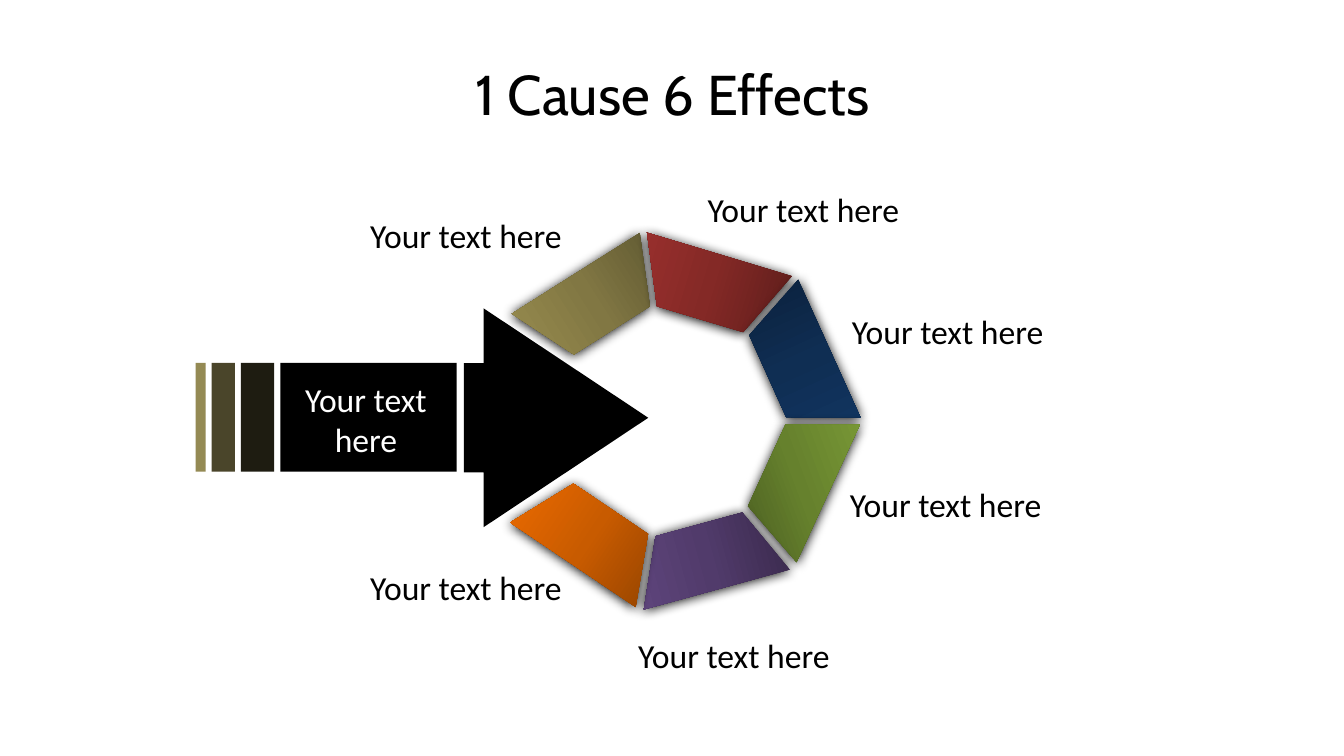
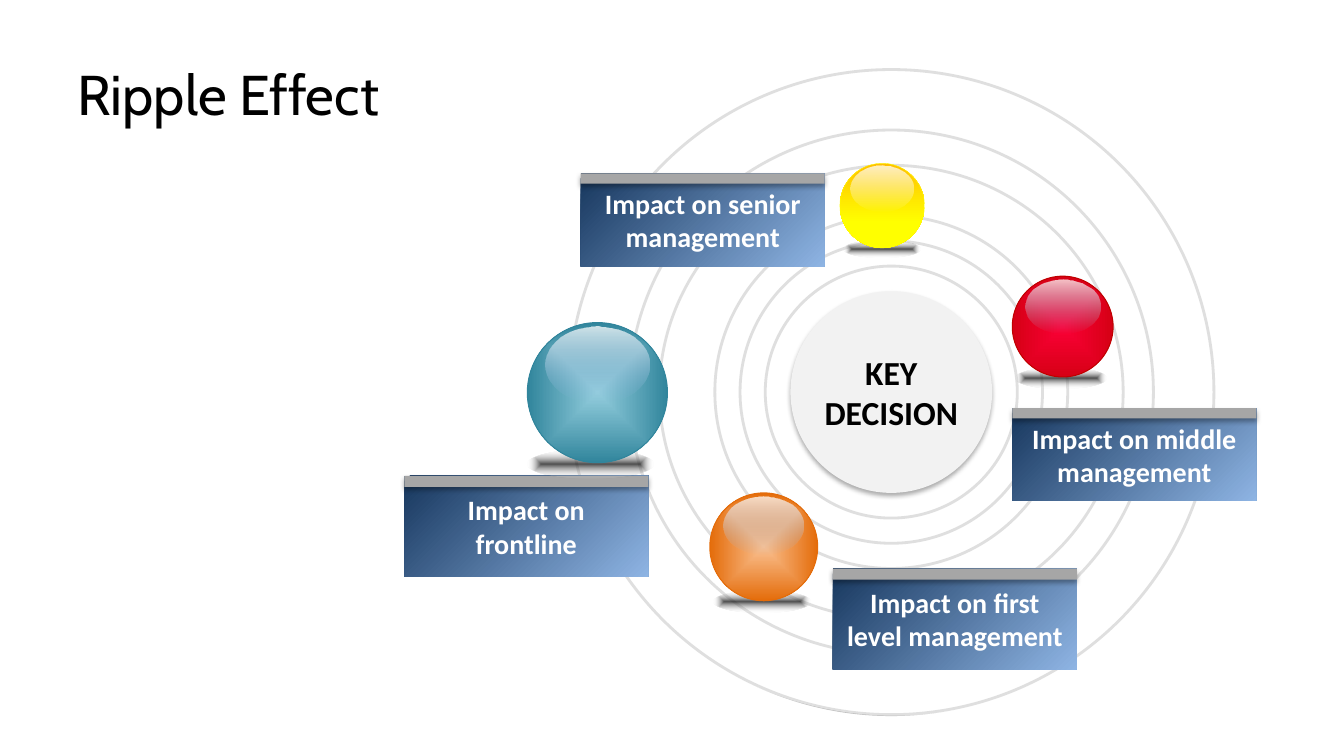
"""Build two slides: one cause with six effects, and the ripple effect of a decision."""
from lxml import etree
from pptx import Presentation
from pptx.dml.color import RGBColor
from pptx.enum.shapes import MSO_SHAPE
from pptx.enum.text import MSO_ANCHOR, PP_ALIGN
from pptx.oxml import parse_xml
from pptx.oxml.ns import nsdecls, qn
from pptx.util import Inches, Pt

ARROW = MSO_SHAPE.RIGHT_ARROW
ELLIPSE = MSO_SHAPE.OVAL
RECTANGLE = MSO_SHAPE.RECTANGLE
TRAPEZOID = MSO_SHAPE.TRAPEZOID
LEFT, CENTER, RIGHT = PP_ALIGN.LEFT, PP_ALIGN.CENTER, PP_ALIGN.RIGHT
TOP, MIDDLE = MSO_ANCHOR.TOP, MSO_ANCHOR.MIDDLE

COLORS = {
    "black": "000000", "white": "FFFFFF",
    "bar_dark": "1E1C11", "bar_mid": "4A452A", "bar_light": "948A54",
    "ring": "BFBFBF", "core": "F2F2F2", "cap": "A6A6A6", "ground": "171717",
    "card_dark": "17375E", "card_light": "8EB4E3",
    "teal_light": "93CDDD", "teal": "31859C",
    "orange_light": "FAC090", "orange": "E46C0A",
    "gold": "FFC000", "yellow": "FFFF00",
    "red_light": "FB0036", "red": "D60015", "red_line": "C00000",
    "khaki_0": "5A542F", "khaki_1": "817743", "khaki_2": "998D4F",
    "brick_0": "5D1D1B", "brick_1": "842926", "brick_2": "9C302E",
    "navy_0": "0B203B", "navy_1": "0F2E53", "navy_2": "123663",
    "green_0": "485B20", "green_1": "66812D", "green_2": "799936",
    "purple_0": "39294B", "purple_1": "513B6B", "purple_2": "60467E",
    "amber_0": "8D4000", "amber_1": "C85B00", "amber_2": "EE6B00",
}
SEGMENT_SHADOW = {"opacity": 100, "blur": 8.5, "distance": 1}
SOFT_SHADOW = {"opacity": 32, "blur": 3.5, "distance": 2.2}


def write(shape, text, size=24, color="black", font="Calibri", bold=False,
          align=CENTER, anchor=TOP, wrap=True, inset=0.1):
    """Put formatted text into a shape."""
    frame = shape.text_frame
    frame.word_wrap = wrap
    frame.vertical_anchor = anchor
    frame.margin_left = frame.margin_right = Inches(inset)
    paragraph = frame.paragraphs[0]
    paragraph.alignment = align
    run = paragraph.add_run()
    run.text = text
    run.font.name = font
    run.font.size = Pt(size)
    run.font.bold = bold
    run.font.color.rgb = RGBColor.from_string(COLORS[color])


def draw(shapes, kind, box, fill=None, angle=None, opacity=100, line=None,
         line_width=0.75, shadow=None):
    """Add a shape; a list of (position, color, opacity) stops makes a gradient."""
    shape = shapes.add_shape(kind, *[Inches(length) for length in box])
    properties = shape._element.spPr
    if fill is None:
        shape.fill.background()
    else:
        shape.fill.solid()
        solid = properties.find(qn("a:solidFill"))
        if isinstance(fill, str):
            shape.fill.fore_color.rgb = RGBColor.from_string(COLORS[fill])
            if opacity < 100:
                etree.SubElement(solid.find(qn("a:srgbClr")), qn("a:alpha"),
                                 val=str(opacity * 1000))
        else:
            stops = "".join(
                f'<a:gs pos="{position * 1000}"><a:srgbClr val="{COLORS[color]}">'
                f'<a:alpha val="{alpha * 1000}"/></a:srgbClr></a:gs>'
                for position, color, alpha in fill)
            if angle is None:
                direction = ('<a:path path="shape"><a:fillToRect l="50000" t="50000" '
                             'r="50000" b="50000"/></a:path>')
            else:
                direction = f'<a:lin ang="{angle * 60000}" scaled="0"/>'
            properties.replace(solid, parse_xml(
                f'<a:gradFill {nsdecls("a")} rotWithShape="1">'
                f'<a:gsLst>{stops}</a:gsLst>{direction}</a:gradFill>'))
    if line:
        shape.line.color.rgb = RGBColor.from_string(COLORS[line])
        shape.line.width = Pt(line_width)
    else:
        shape.line.fill.background()
    shape.shadow.inherit = False
    if shadow:
        properties.find(qn("a:effectLst")).append(parse_xml(
            f'<a:outerShdw {nsdecls("a")} blurRad="{Pt(shadow["blur"])}" '
            f'dist="{Pt(shadow["distance"])}" dir="5400000" algn="t" rotWithShape="0">'
            f'<a:srgbClr val="{COLORS["black"]}">'
            f'<a:alpha val="{shadow["opacity"] * 1000}"/></a:srgbClr></a:outerShdw>'))
    return shape


presentation = Presentation()
presentation.slide_width = Inches(13.33)
presentation.slide_height = Inches(7.5)
layout = presentation.slide_layouts[5]
layout_title = layout.placeholders[0]
layout_title.left, layout_title.top = Inches(0.67), Inches(0.3)
layout_title.width, layout_title.height = Inches(12), Inches(1.25)

slides = []
for title, align in [("1 Cause 6 Effects", CENTER), ("Ripple Effect", LEFT)]:
    slide = presentation.slides.add_slide(layout)
    write(slide.shapes.title, title, size=40, font="Cabin", align=align, anchor=MIDDLE)
    slides.append(slide)
cause_slide, ripple_slide = slides

effects = [
    ("khaki", 5.14, 2.66, 327.7, True, 0, 3.55, 2.08, RIGHT),
    ("brick", 6.29, 2.51, 16.7, True, 0, 6.92, 1.83, LEFT),
    ("navy", 7.17, 3.26, 65.7, False, 0, 8.35, 3.04, LEFT),
    ("green", 7.16, 4.42, 114.7, False, 135, 8.33, 4.75, LEFT),
    ("purple", 6.27, 5.19, 164.7, False, 0, 6.23, 6.25, LEFT),
    ("amber", 5.12, 4.99, 214, False, 0, 3.55, 5.58, RIGHT),
]
for hue, left, top, rotation, mirrored, angle, label_left, label_top, align in effects:
    stops = [(position, f"{hue}_{index}", 100) for index, position in enumerate((0, 50, 100))]
    segment = draw(cause_slide.shapes, TRAPEZOID, (left, top, 1.5, 0.67), stops,
                   angle=angle, shadow=SEGMENT_SHADOW)
    segment.adjustments[0] = 0.453
    segment.rotation = rotation
    transform = segment._element.spPr.find(qn("a:xfrm"))
    transform.set("flipV", "1")
    if mirrored:
        transform.set("flipH", "1")
    label = cause_slide.shapes.add_textbox(
        Inches(label_left), Inches(label_top), Inches(2.12), Inches(0.5))
    write(label, "Your text here", align=align, wrap=False)

cause = cause_slide.shapes.add_group_shape().shapes
bar_left = 1.94
for color, width in [("bar_light", 0.1), ("bar_mid", 0.23), ("bar_dark", 0.33), ("black", 1.75)]:
    draw(cause, RECTANGLE, (bar_left, 3.6, width, 1.08), color)
    bar_left += width + 0.06
arrow = draw(cause, ARROW, (4.6, 3.06, 1.83, 2.17), "black")
arrow.adjustments[0] = 0.5
arrow.adjustments[1] = 0.892
cause_label = cause.add_textbox(Inches(2.88), Inches(3.71), Inches(1.5), Inches(0.91))
write(cause_label, "Your text here", color="white")

center_x, center_y = 8.84, 3.89
for width, height in [(2.5, 2.5), (3, 3), (3.5, 3.5), (4.6, 4.5), (5.2, 5.2), (6.4, 6.4)]:
    draw(ripple_slide.shapes, ELLIPSE,
         (center_x - width / 2, center_y - height / 2, width, height),
         line="ring", line_width=2)
draw(ripple_slide.shapes, ELLIPSE, (5.49, 0.48, 6.77, 6.62), "white", opacity=51)

cards = [
    ("Impact on frontline", 4.01, 4.72, 1),
    ("Impact on senior management", 5.76, 1.72, 0.92),
    ("Impact on first level management", 8.26, 5.64, 1),
    ("Impact on middle management", 10.04, 4.05, 0.92),
]
for text, left, top, height in cards:
    group = ripple_slide.shapes.add_group_shape().shapes
    card = draw(group, RECTANGLE, (left, top, 2.42, height),
                [(0, "card_dark", 100), (100, "card_light", 100)], angle=45)
    write(card, text, size=20, color="white", bold=True, anchor=MIDDLE)
    draw(group, RECTANGLE, (left, top, 2.42, height * 0.11), "cap", shadow=SOFT_SHADOW)

core = draw(ripple_slide.shapes, ELLIPSE, (center_x - 1, center_y - 1, 2, 2), "core",
            shadow=SOFT_SHADOW)
write(core, "KEY DECISION", bold=True, anchor=MIDDLE, inset=0)

balls = [
    (5.23, 3.2, 1.39, 0, [(0, "teal_light", 100), (100, "teal", 100)],
     None, "teal", 0.75, "card_light"),
    (7.04, 4.89, 1.07, 0.04, [(0, "orange_light", 100), (100, "orange", 100)],
     None, "orange", 0.75, "card_light"),
    (8.33, 1.62, 0.84, 0.04, [(0, "gold", 100), (70, "yellow", 100), (100, "yellow", 100)],
     90, "yellow", 0.25, "white"),
    (10.04, 2.74, 1, 0.03, [(0, "red_light", 100), (100, "red", 100)],
     None, "red_line", 0.75, "card_light"),
]
for left, top, size, offset, stops, angle, line, line_width, shine in balls:
    group = ripple_slide.shapes.add_group_shape().shapes
    draw(group, ELLIPSE, (left + offset, top + size * 0.91, size * 0.9, size * 0.2),
         [(0, "ground", 76), (100, "white", 0)])
    draw(group, ELLIPSE, (left, top, size, size), stops, angle=angle,
         line=line, line_width=line_width)
    draw(group, ELLIPSE, (left + size * 0.13, top + size * 0.03, size * 0.74, size * 0.54),
         [(0, "white", 77), (100, shine, 0)], angle=90)

presentation.save("out.pptx")
